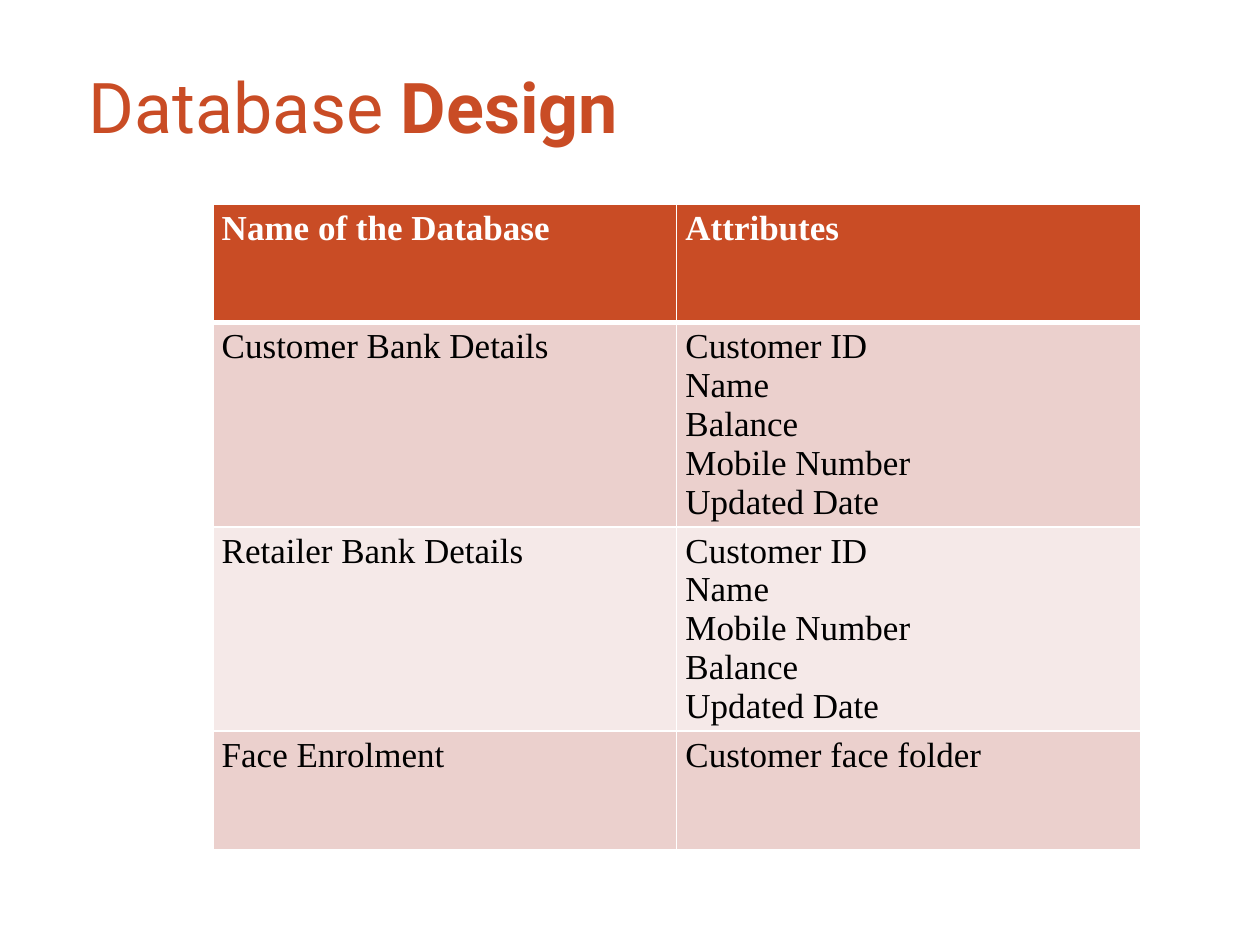
import dataclasses

import pptx
import pptx.dml.color
import pptx.enum.text
import pptx.oxml
import pptx.oxml.ns
import pptx.util

Inches = pptx.util.Inches


@dataclasses.dataclass(frozen=True)
class Theme:
    accent: str = "C94C25"
    white: str = "FFFFFF"
    ink: str = "000000"
    bands: tuple = ("EBD0CD", "F5E9E8")
    title_font: str = "Roboto"
    body_font: str = "Times New Roman"
    title_size: int = 40
    body_size: int = 20
    border_width: float = 1
    header_rule_width: float = 3


def add_text(paragraph, text, *, font, size, color, bold=False):
    run = paragraph.add_run()
    run.text = text
    run.font.name = font
    run.font.size = pptx.util.Pt(size)
    run.font.bold = bold
    run.font.color.rgb = pptx.dml.color.RGBColor.from_string(color)


def set_border(cell, side, color, width):
    border = pptx.oxml.parse_xml(
        f'<a:{side} {pptx.oxml.ns.nsdecls("a")} w="{pptx.util.Pt(width)}">'
        f'<a:solidFill><a:srgbClr val="{color}"/></a:solidFill></a:{side}>'
    )
    properties = cell._tc.get_or_add_tcPr()
    # Borders come before the fill, in the order they are added
    fill = properties.find(pptx.oxml.ns.qn("a:solidFill"))
    fill.addprevious(border)


class SlideBuilder:
    def __init__(self, slide, theme):
        self.slide = slide
        self.theme = theme

    def title(self, parts, left, top, width, height):
        shape = self.slide.shapes.title
        shape.left, shape.top = Inches(left), Inches(top)
        shape.width, shape.height = Inches(width), Inches(height)
        frame = shape.text_frame
        frame.word_wrap = True
        frame.vertical_anchor = pptx.enum.text.MSO_ANCHOR.MIDDLE
        frame.margin_left = frame.margin_right = 0
        frame.margin_top = frame.margin_bottom = Inches(0.05)
        paragraph = frame.paragraphs[0]
        paragraph.alignment = pptx.enum.text.PP_ALIGN.LEFT
        paragraph._p.get_or_add_pPr().set("marL", str(Inches(0.2)))
        for text, bold in parts:
            add_text(paragraph, text, font=self.theme.title_font,
                     size=self.theme.title_size, color=self.theme.accent, bold=bold)

    def table(self, rows, left, top, column_width, row_heights):
        columns = len(rows[0])
        table = self.slide.shapes.add_table(
            len(rows), columns, Inches(left), Inches(top),
            Inches(column_width * columns), Inches(sum(row_heights)),
        ).table
        for column in table.columns:
            column.width = Inches(column_width)
        for row_index, (values, height) in enumerate(zip(rows, row_heights)):
            table.rows[row_index].height = Inches(height)
            for column_index, lines in enumerate(values):
                self.cell(table.cell(row_index, column_index), lines, row_index)

    def cell(self, cell, lines, row_index):
        theme = self.theme
        header = row_index == 0
        fill = theme.accent if header else theme.bands[(row_index - 1) % 2]
        cell.fill.solid()
        cell.fill.fore_color.rgb = pptx.dml.color.RGBColor.from_string(fill)
        cell.margin_left = cell.margin_right = Inches(0.07)
        cell.margin_top = cell.margin_bottom = Inches(0.04)
        for index, line in enumerate(lines):
            frame = cell.text_frame
            paragraph = frame.add_paragraph() if index else frame.paragraphs[0]
            add_text(paragraph, line, font=theme.body_font, size=theme.body_size,
                     color=theme.white if header else theme.ink, bold=header)
        # The rule between the header and the first row is thicker
        heavy_side = {0: "lnB", 1: "lnT"}.get(row_index)
        for side in ("lnL", "lnR", "lnT", "lnB"):
            width = theme.header_rule_width if side == heavy_side else theme.border_width
            set_border(cell, side, theme.white, width)


def main():
    presentation = pptx.Presentation()
    presentation.slide_width = Inches(10)
    presentation.slide_height = Inches(7.5)
    title_only = presentation.slide_layouts[5]
    builder = SlideBuilder(presentation.slides.add_slide(title_only), Theme())

    # Title
    builder.title([("Database", False), (" Design", True)], 0.5, 0.4, 5.33, 0.87)

    # Databases and their attributes, one list of lines per cell
    rows = [
        (["Name of the Database"], ["Attributes"]),
        (["Customer Bank Details"],
         ["Customer ID", "Name", "Balance", "Mobile Number", "Updated Date"]),
        (["Retailer Bank Details"],
         ["Customer ID", "Name", "Mobile Number", "Balance", "Updated Date"]),
        (["Face Enrolment"], ["Customer face folder"]),
    ]
    builder.table(rows, 1.69, 1.62, 3.68, [0.94, 1.4, 1.4, 0.94])

    presentation.save("out.pptx")


if __name__ == "__main__":
    main()
